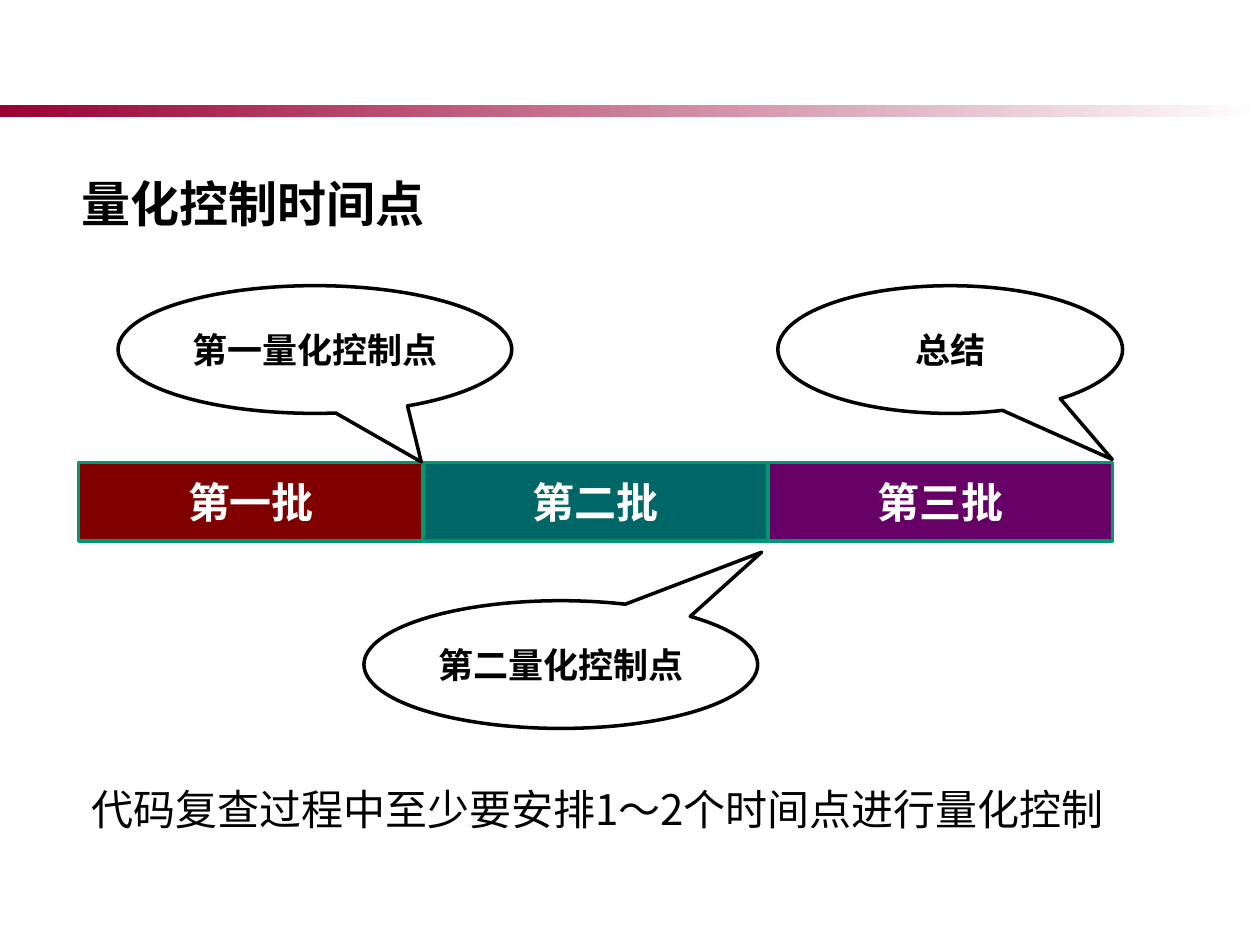
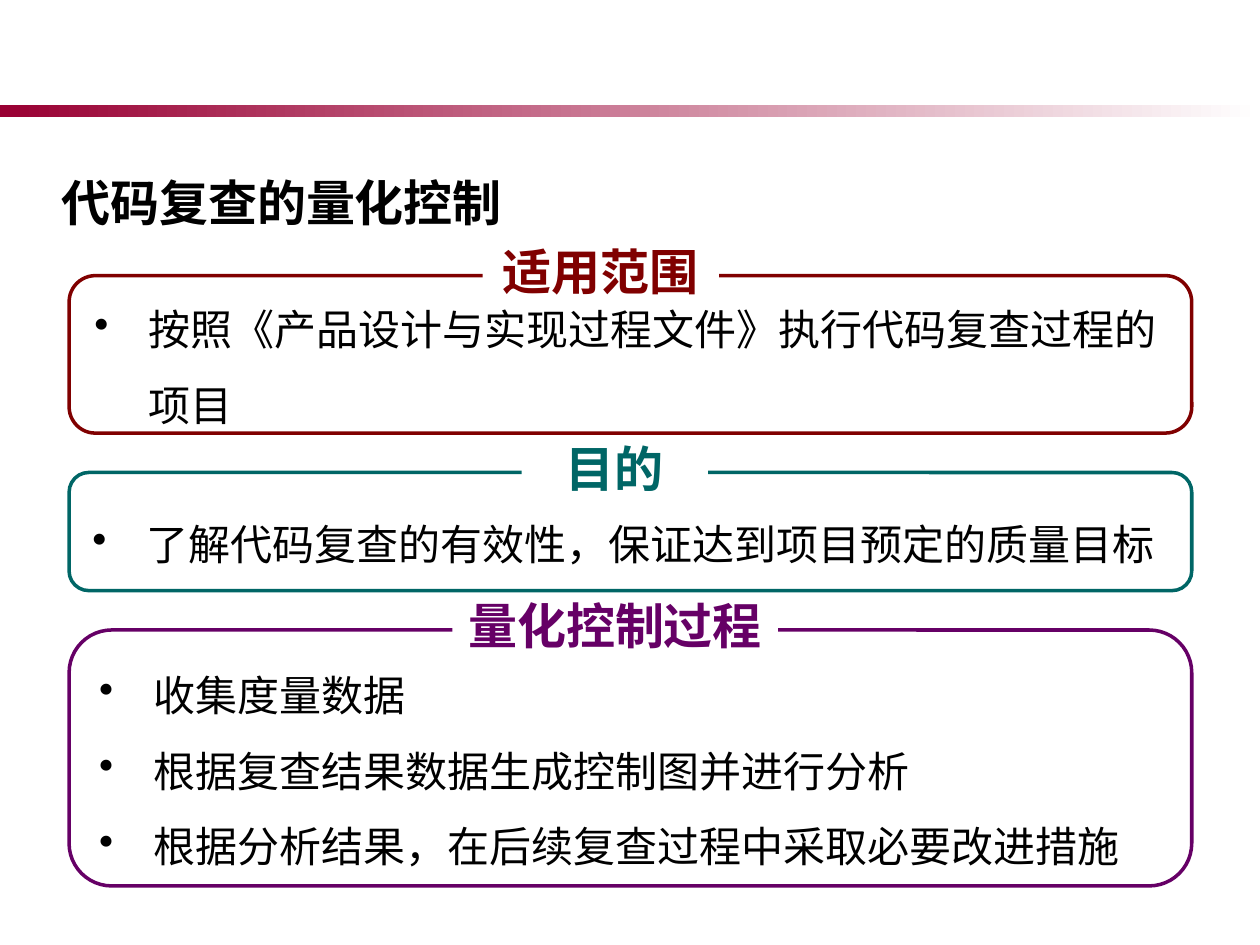
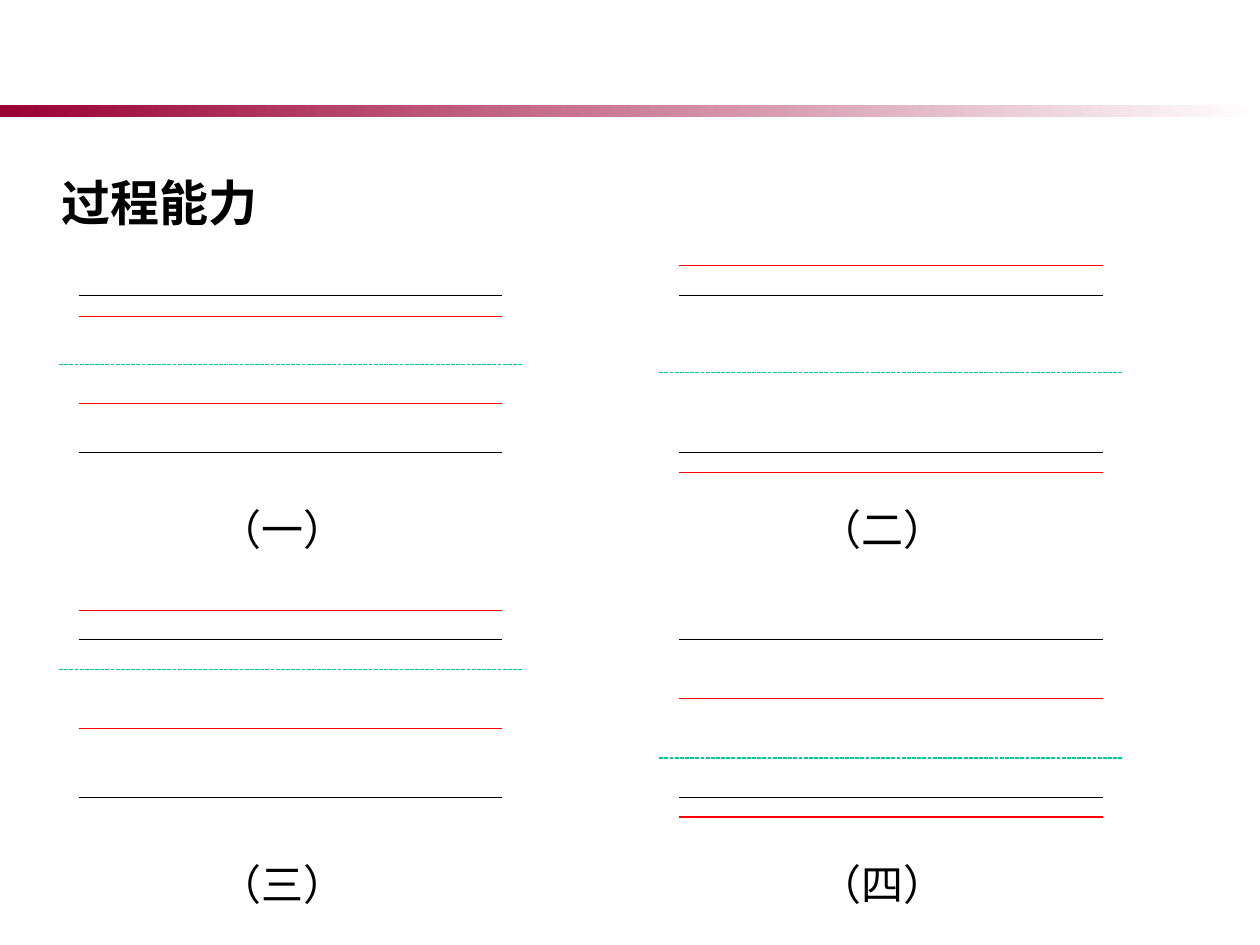
from dataclasses import dataclass

from lxml.etree import SubElement
from pptx import Presentation
from pptx.dml.color import RGBColor
from pptx.enum.dml import MSO_LINE
from pptx.enum.shapes import MSO_CONNECTOR, MSO_SHAPE
from pptx.enum.text import MSO_ANCHOR, MSO_AUTO_SIZE, PP_ALIGN
from pptx.oxml.ns import qn
from pptx.util import Pt


@dataclass(frozen=True)
class Theme:
    white: str = "FFFFFF"
    black: str = "000000"
    band: str = "990033"
    maroon: str = "800000"
    teal: str = "006666"
    purple: str = "660066"
    batch_edge: str = "009771"
    center_line: str = "00C896"
    limit_red: str = "FF0000"
    font: str = "Noto Sans CJK SC"
    batch_font: str = "Times New Roman"
    title: int = 28
    body: int = 24
    callout: int = 20
    thick: float = 2
    thin: float = 0.75


T = Theme()


def rgb(value):
    return RGBColor.from_string(value)


class Deck:
    def __init__(self):
        self.prs = Presentation()
        self.prs.slide_width, self.prs.slide_height = Pt(720), Pt(540)
        self.s = None

    def new_slide(self):
        self.s = self.prs.slides.add_slide(self.prs.slide_layouts[6])
        band = self.shape(MSO_SHAPE.RECTANGLE, (0, 60.25, 720, 6.75))
        band.fill.gradient()
        band.fill.gradient_angle = 0
        for stop, color in zip(band.fill.gradient_stops, (T.band, T.white)):
            stop.color.rgb = rgb(color)

    def shape(self, kind, box, fill=None, edge=None):
        sp = self.s.shapes.add_shape(kind, *map(Pt, box))
        sp.shadow.inherit = False
        if fill:
            sp.fill.solid()
            sp.fill.fore_color.rgb = rgb(fill)
        else:
            sp.fill.background()
        if edge:
            sp.line.color.rgb = rgb(edge)
            sp.line.width = Pt(T.thick)
        else:
            sp.line.fill.background()
        return sp

    def textbox(self, box):
        return self.s.shapes.add_textbox(*map(Pt, box))

    def add_text(self, sp, lines, size, color=T.black, bold=False, font=T.font,
                 align=PP_ALIGN.CENTER, anchor=MSO_ANCHOR.MIDDLE, spacing=None,
                 indent=None, bullet=None):
        """Fill a shape with paragraphs; indent is (left margin, first line)."""
        tf = sp.text_frame
        tf.word_wrap = True
        tf.vertical_anchor = anchor
        for i, line in enumerate(lines):
            p = tf.add_paragraph() if i else tf.paragraphs[0]
            p.alignment = align
            if spacing:
                p.line_spacing = spacing
            pPr = p._p.get_or_add_pPr()
            if indent:
                pPr.set("marL", str(Pt(indent[0])))
                pPr.set("indent", str(Pt(indent[1])))
            if bullet:
                SubElement(pPr, qn("a:buChar")).set("char", bullet)
            r = p.add_run()
            r.text = line
            r.font.size, r.font.bold, r.font.name = Pt(size), bold, font
            r.font.color.rgb = rgb(color)
            SubElement(r._r.get_or_add_rPr(), qn("a:ea")).set("typeface", T.font)

    def hanging_text(self, box, text, size, bold=False):
        self.add_text(self.textbox(box), [text], size, bold=bold,
                      align=PP_ALIGN.LEFT, anchor=MSO_ANCHOR.TOP,
                      spacing=1.5, indent=(48, -48))

    def title(self, text):
        self.hanging_text((28, 78.5, 638, 73.5), text, T.title, bold=True)

    def callout(self, box, tip, text):
        sp = self.shape(MSO_SHAPE.OVAL_CALLOUT, box, edge=T.black)
        sp.adjustments[0], sp.adjustments[1] = tip
        self.add_text(sp, [text], T.callout, bold=True)

    def framed_list(self, top, height, color, label, label_left, label_width, items):
        """Rounded frame with a bulleted list and a heading set into its top edge."""
        frame = self.shape(MSO_SHAPE.ROUNDED_RECTANGLE, (39.5, top, 641.5, height), edge=color)
        self.add_text(frame, items, T.body, align=PP_ALIGN.LEFT, spacing=1.5,
                      indent=(34, -31), bullet="•")
        heading = self.shape(MSO_SHAPE.RECTANGLE,
                             (label_left, top - 16.75, label_width, 28), fill=T.white)
        self.add_text(heading, [label], T.title, color, bold=True)

    def level(self, left, y, width, color, dash=None):
        """Thin horizontal line."""
        c = self.s.shapes.add_connector(MSO_CONNECTOR.STRAIGHT, Pt(left), Pt(y),
                                        Pt(left + width), Pt(y))
        c.line.color.rgb = rgb(color)
        c.line.width = Pt(T.thin)
        if dash:
            c.line.dash_style = dash
        SubElement(c._element.spPr, qn("a:effectLst"))

    def capability_panel(self, left, top, caption_top, reds, center, caption):
        """Black limits 90 pt apart; reds and center are offsets from the upper one."""
        width, overhang = 242, 11.25
        for offset in (0, 90):
            self.level(left, top + offset, width, T.black)
        for offset in reds:
            self.level(left, top + offset, width, T.limit_red)
        self.level(left - overhang, top + center, width + 2 * overhang,
                   T.center_line, MSO_LINE.SQUARE_DOT)
        self.hanging_text((left + 73.25, caption_top, 106.5, 62), caption, T.body)


def control_points(deck):
    deck.new_slide()
    title = deck.shape(MSO_SHAPE.RECTANGLE, (39.5, 95.75, 658, 56), fill=T.white)
    deck.add_text(title, ["量化控制时间点"], T.title, bold=True,
                  align=PP_ALIGN.LEFT, anchor=MSO_ANCHOR.TOP)

    batch_width = 196.9
    batches = (("第一批", T.maroon), ("第二批", T.teal), ("第三批", T.purple))
    for i, (name, color) in enumerate(batches):
        sp = deck.shape(MSO_SHAPE.RECTANGLE, (45 + i * batch_width, 264.25, batch_width, 45),
                        fill=color, edge=T.batch_edge)
        deck.add_text(sp, [name], T.body, T.white, bold=True, font=T.batch_font)

    for left, top, width, tip, text in (
        (208, 343.25, 225, (0.51, -0.88), "第二量化控制点"),
        (67.5, 163.25, 225, (0.27, 0.88), "第一量化控制点"),
        (444.5, 163.25, 197, (0.47, 0.86), "总结"),
    ):
        deck.callout((left, top, width, 73), tip, text)

    note = deck.textbox((45, 444, 596, 36))
    deck.add_text(note, ["代码复查过程中至少要安排1～2个时间点进行量化控制"], T.body,
                  align=PP_ALIGN.LEFT, anchor=MSO_ANCHOR.TOP)
    note.text_frame.auto_size = MSO_AUTO_SIZE.SHAPE_TO_FIT_TEXT


def review_control(deck):
    deck.new_slide()
    deck.title("代码复查的量化控制")
    deck.framed_list(157.5, 90, T.maroon, "适用范围", 275.75, 135,
                     ["按照《产品设计与实现过程文件》执行代码复查过程的项目"])
    deck.framed_list(270, 67.5, T.teal, "目的", 298, 106.5,
                     ["了解代码复查的有效性，保证达到项目预定的质量目标"])
    deck.framed_list(360, 146.25, T.purple, "量化控制过程", 258.5, 186,
                     ["收集度量数据",
                      "根据复查结果数据生成控制图并进行分析",
                      "根据分析结果，在后续复查过程中采取必要改进措施"])


def process_capability(deck):
    deck.new_slide()
    deck.title("过程能力")
    columns = (45, 388)
    rows = ((168.75, 270), (365.6, 472.5))
    panels = (
        ((12, 61.75), 39.4, "（一）"),
        ((-16.9, 101.25), 44.25, "（二）"),
        ((-16.9, 50.6), 16.9, "（三）"),
        ((33.75, 101.25), 67.5, "（四）"),
    )
    for i, panel in enumerate(panels):
        deck.capability_panel(columns[i % 2], *rows[i // 2], *panel)


def main():
    deck = Deck()
    control_points(deck)
    review_control(deck)
    process_capability(deck)
    deck.prs.save("out.pptx")


if __name__ == "__main__":
    main()
